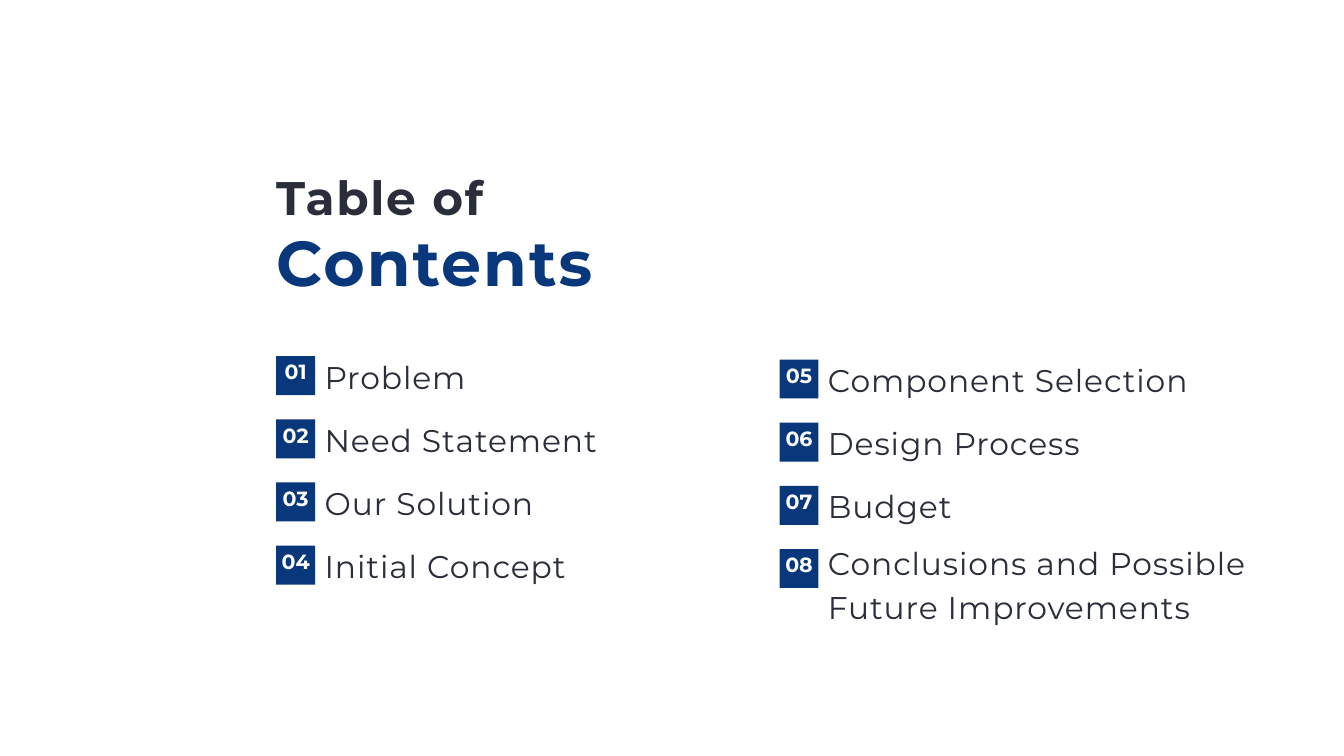
from collections import namedtuple
from dataclasses import dataclass

from lxml import etree
from pptx import Presentation
from pptx.dml.color import RGBColor
from pptx.enum import shapes, text
from pptx.oxml import ns
from pptx.util import Inches, Pt

Box = namedtuple("Box", "left top width height")
Style = namedtuple("Style", "size leading color bold tracking")


@dataclass(frozen=True)
class Theme:
    font: str = "Montserrat"
    navy: RGBColor = RGBColor(0x08, 0x37, 0x7C)
    ink: RGBColor = RGBColor(0x2A, 0x2E, 0x3A)
    white: RGBColor = RGBColor(0xFF, 0xFF, 0xFF)

    @property
    def overline(self):
        return Style(50.4, 60.4, self.ink, True, 1.8)

    @property
    def title(self):
        return Style(67.9, 81.5, self.navy, True, 2.2)

    @property
    def entry(self):
        return Style(33.6, 47, self.ink, False, 1)

    @property
    def badge(self):
        return Style(22, 30.8, self.white, True, 0)


THEME = Theme()
PITCH = 0.94
BADGE_SIZE = 0.58
BADGE_DROP = 0.07
BADGE_TEXT_LIFT = 0.18
LABEL_INDENT = 0.72


def place(shape, box):
    shape.left, shape.top, shape.width, shape.height = map(Inches, box)


def prepare_frame(frame):
    frame.margin_left = frame.margin_right = 0
    frame.margin_top = frame.margin_bottom = 0
    frame.word_wrap = True
    frame.auto_size = text.MSO_AUTO_SIZE.NONE
    frame.vertical_anchor = text.MSO_ANCHOR.TOP


def write(para, words, style, align=text.PP_ALIGN.LEFT, before=0):
    para.text = words
    para.alignment = align
    para.line_spacing = Pt(style.leading)
    para.space_before = Pt(before)
    para.space_after = Pt(0)
    font = para.font
    font.name, font.size, font.bold = THEME.font, Pt(style.size), style.bold
    font.color.rgb = style.color
    para._p.pPr.find(ns.qn("a:defRPr")).set("spc", str(round(style.tracking * 100)))


def remove_bullet(para):
    properties = para._p.get_or_add_pPr()
    properties.set("marL", "0")
    properties.set("indent", "0")
    etree.SubElement(properties, ns.qn("a:buNone"))


def add_heading(page, box):
    overline_height = 0.81
    overline = page.shapes.add_textbox(*map(Inches, box._replace(height=0.85)))
    title = page.shapes.title
    place(title, box._replace(top=box.top + overline_height,
                              height=box.height - overline_height))
    for shape, words, style in ((overline, "Table of", THEME.overline),
                                (title, "Contents", THEME.title)):
        prepare_frame(shape.text_frame)
        write(shape.text_frame.paragraphs[0], words, style)


def add_badge(page, left, top, number):
    badge = page.shapes.add_shape(shapes.MSO_SHAPE.RECTANGLE, Inches(left), Inches(top),
                                  Inches(BADGE_SIZE), Inches(BADGE_SIZE))
    badge.shadow.inherit = False
    badge.fill.solid()
    badge.fill.fore_color.rgb = THEME.navy
    badge.line.fill.background()
    frame = badge.text_frame
    prepare_frame(frame)
    frame.margin_bottom = Inches(BADGE_TEXT_LIFT)
    frame.vertical_anchor = text.MSO_ANCHOR.MIDDLE
    write(frame.paragraphs[0], f"{number:02d}", THEME.badge, text.PP_ALIGN.CENTER)


def add_contents_column(page, box, placeholder, entries, first_number, last_lift=0):
    place(placeholder, box._replace(left=box.left + LABEL_INDENT,
                                    width=box.width - LABEL_INDENT))
    frame = placeholder.text_frame
    prepare_frame(frame)
    for row, label in enumerate(entries):
        para = frame.add_paragraph() if row else frame.paragraphs[0]
        lift = last_lift if row == len(entries) - 1 else 0
        gap = (PITCH - lift) * 72 - THEME.entry.leading if row else 0
        remove_bullet(para)
        write(para, label, THEME.entry, before=gap)
        add_badge(page, box.left, box.top + BADGE_DROP + row * PITCH, first_number + row)


def main():
    deck = Presentation()
    deck.slide_width, deck.slide_height = Inches(20), Inches(11.25)
    page = deck.slides.add_slide(deck.slide_layouts.get_by_name("Two Content"))
    left_list, right_list = list(page.placeholders)[1:3]
    add_heading(page, Box(4.11, 2.51, 5.95, 1.94))
    add_contents_column(
        page, Box(4.11, 5.23, 4.83, 3.45), left_list,
        ["Problem", "Need Statement", "Our Solution", "Initial Concept"], 1)
    add_contents_column(
        page, Box(11.6, 5.28, 7.28, 4.01), right_list,
        ["Component Selection", "Design Process", "Budget",
         "Conclusions and Possible Future Improvements"], 5, last_lift=0.09)
    deck.save("out.pptx")


if __name__ == "__main__":
    main()
